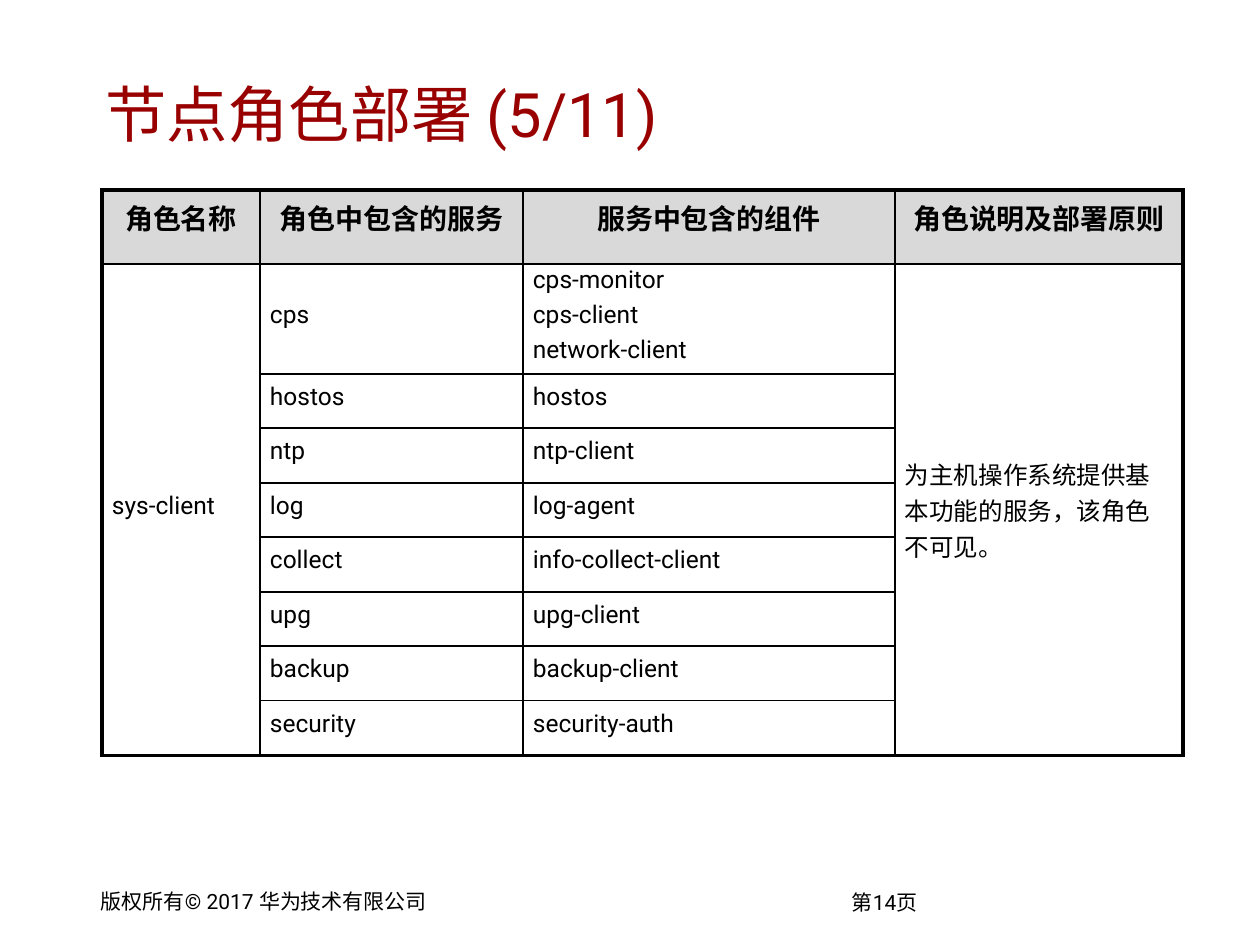
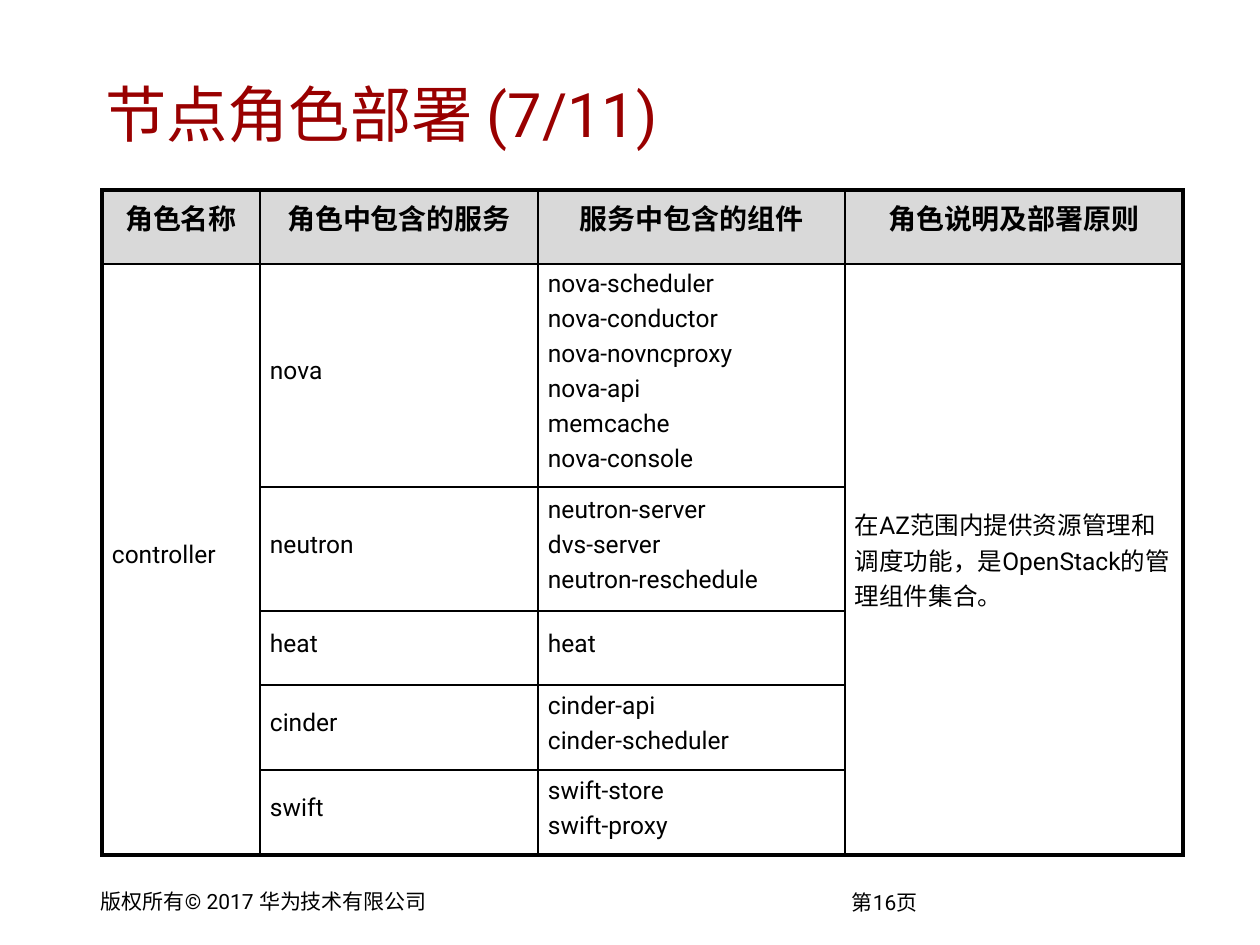
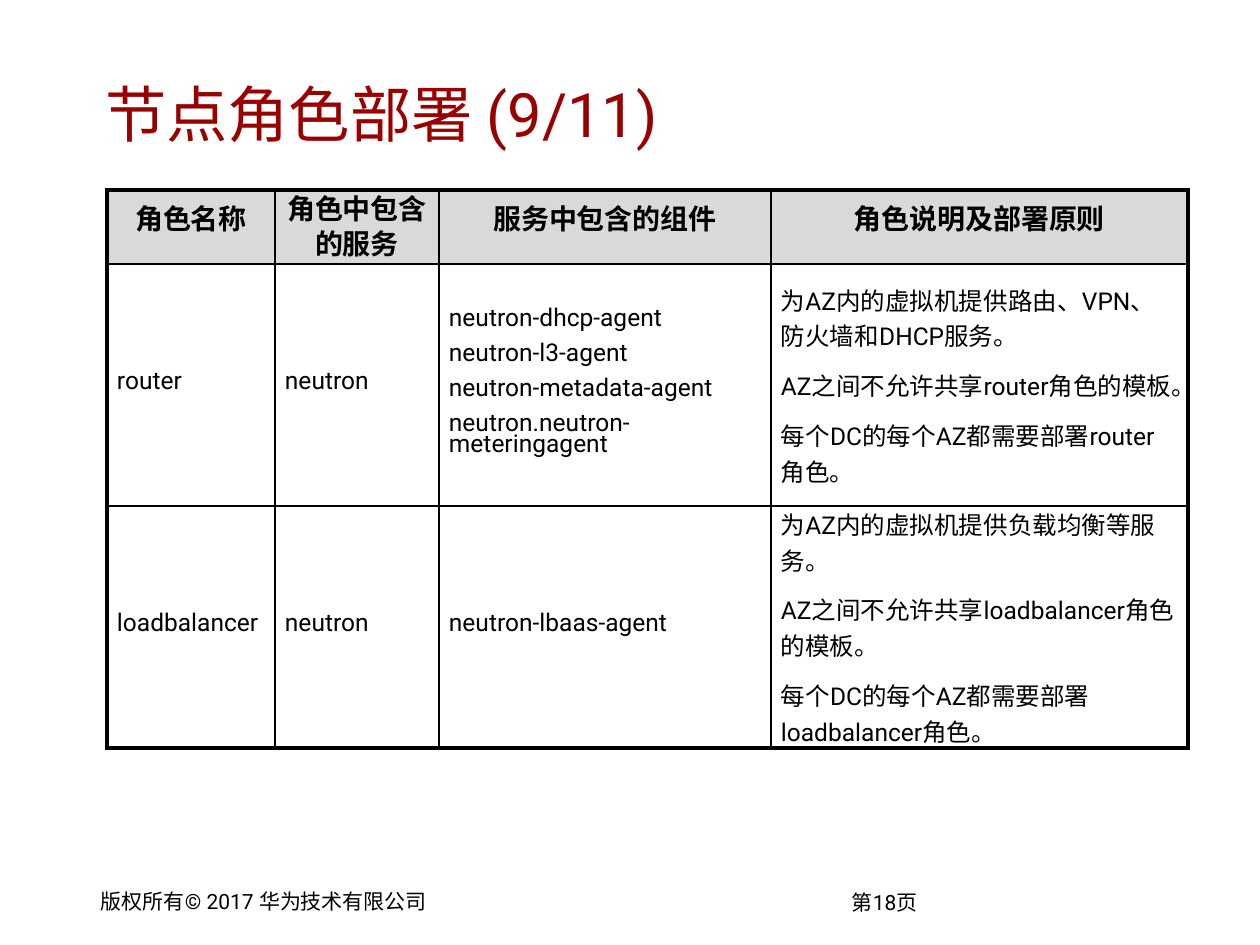
from lxml.etree import SubElement
from pptx import Presentation
from pptx.dml.color import RGBColor
from pptx.enum.text import MSO_ANCHOR, MSO_AUTO_SIZE, PP_ALIGN
from pptx.oxml.ns import qn
from pptx.util import Emu, Pt

FONT = "Roboto"
BLACK = RGBColor(0x00, 0x00, 0x00)
TITLE_RED = RGBColor(0x99, 0x00, 0x00)
HEADER_GREY = RGBColor(0xD9, 0xD9, 0xD9)
OUTER_LINE, INNER_LINE = Pt(2.25), Pt(1)
TABLE_TOP, HEADER_HEIGHT = 190, 74
HEADINGS = ["角色名称", "角色中包含的服务", "服务中包含的组件", "角色说明及部署原则"]
COPYRIGHT = "版权所有© 2017 华为技术有限公司"


def px(length):
    return Emu(round(length * 914400 / 126))


def set_font(paragraph, size, color=BLACK, bold=False):
    font = paragraph.font
    font.name, font.size, font.bold = FONT, Pt(size), bold
    font.color.rgb = color


def set_margins(frame):
    frame.margin_left = frame.margin_right = px(11)
    frame.margin_top = frame.margin_bottom = px(5)


def add_title(slide, text):
    title = slide.shapes.title
    title.left, title.top, title.width, title.height = map(px, (94, 53, 1091, 120))
    frame = title.text_frame
    frame.text = text
    frame.auto_size = MSO_AUTO_SIZE.NONE
    frame.vertical_anchor = MSO_ANCHOR.MIDDLE
    set_margins(frame)
    frame.paragraphs[0].alignment = PP_ALIGN.LEFT
    set_font(frame.paragraphs[0], 35, TITLE_RED)


def add_footer_text(slide, text, left, top, width):
    frame = slide.shapes.add_textbox(*map(px, (left, top, width, 37))).text_frame
    frame.word_wrap = True
    set_margins(frame)
    frame.text = text
    set_font(frame.paragraphs[0], 12)


def fill_cell(cell, texts, spacing=12, header=False):
    """Write one paragraph per text; spacing None keeps single line spacing."""
    frame = cell.text_frame
    frame.text = "\n".join(texts)
    for index, paragraph in enumerate(frame.paragraphs):
        paragraph.alignment = PP_ALIGN.CENTER if header else PP_ALIGN.LEFT
        if spacing:
            paragraph.line_spacing = Pt(spacing)
        paragraph.space_before = Pt(4 if index else 0)
        paragraph.space_after = Pt(4)
        set_font(paragraph, 16 if header else 14, bold=header)


def set_borders(cell, outer_sides):
    properties = cell._tc.get_or_add_tcPr()
    for position, side in enumerate("LRTB"):
        width = OUTER_LINE if side in outer_sides else INNER_LINE
        line = SubElement(properties, qn(f"a:ln{side}"), w=str(width))
        fill = SubElement(line, qn("a:solidFill"))
        SubElement(fill, qn("a:srgbClr"), val=str(BLACK))
        properties.insert(position, line)


def style_grid(table):
    last_row, last_column = len(table.rows) - 1, len(table.columns) - 1
    for row in range(last_row + 1):
        for column in range(last_column + 1):
            cell = table.cell(row, column)
            cell.vertical_anchor = MSO_ANCHOR.MIDDLE
            cell.margin_left = cell.margin_right = px(10)
            cell.margin_top = cell.margin_bottom = 0
            if row == 0:
                cell.fill.solid()
                cell.fill.fore_color.rgb = HEADER_GREY
            else:
                cell.fill.background()
            bottom_row = row + (cell.span_height if cell.is_merge_origin else 1) - 1
            at_edge = {"L": column == 0, "R": column == last_column,
                       "T": row == 0, "B": bottom_row == last_row}
            set_borders(cell, [side for side, outer in at_edge.items() if outer])


def add_role_table(slide, left, widths, heights, roles, service_heading_spacing=12):
    """Each role is (name, [(service, components), ...], notes)."""
    heights = [HEADER_HEIGHT] + heights
    table = slide.shapes.add_table(
        len(heights), len(widths), px(left), px(TABLE_TOP),
        px(sum(widths)), px(sum(heights))).table
    table.first_row = table.horz_banding = False
    for column, width in zip(table.columns, widths):
        column.width = px(width)
    for row, height in zip(table.rows, heights):
        row.height = px(height)

    for column, heading in enumerate(HEADINGS):
        spacing = service_heading_spacing if column == 1 else 12
        fill_cell(table.cell(0, column), [heading], spacing, header=True)

    first = 1
    for name, services, notes in roles:
        last = first + len(services) - 1
        if last > first:
            for column in (0, 3):
                table.cell(first, column).merge(table.cell(last, column))
        fill_cell(table.cell(first, 0), [name])
        fill_cell(table.cell(first, 3), notes, spacing=None)
        for row, (service, components) in enumerate(services, first):
            fill_cell(table.cell(row, 1), [service])
            fill_cell(table.cell(row, 2), components)
        first = last + 1
    style_grid(table)


def add_role_slide(deck, part, page, **role_table):
    slide = deck.slides.add_slide(deck.slide_layouts[5])
    add_footer_text(slide, f"第{page}页", 841, 885, 91)
    add_footer_text(slide, COPYRIGHT, 90, 884, 352)
    add_title(slide, f"节点角色部署 ({part}/11)")
    add_role_table(slide, **role_table)


def main():
    deck = Presentation()
    deck.slide_width, deck.slide_height = px(1260), px(945)

    # System client role
    add_role_slide(
        deck, 5, 14, left=102, widths=[158, 263, 372, 288],
        heights=[110] + [54, 55] * 3 + [55],
        roles=[("sys-client", [
            ("cps", ["cps-monitor", "cps-client", "network-client"]),
            ("hostos", ["hostos"]),
            ("ntp", ["ntp-client"]),
            ("log", ["log-agent"]),
            ("collect", ["info-collect-client"]),
            ("upg", ["upg-client"]),
            ("backup", ["backup-client"]),
            ("security", ["security-auth"]),
        ], ["为主机操作系统提供基本功能的服务，该角色不可见。"])])

    # Controller role
    add_role_slide(
        deck, 7, 16, left=102, widths=[158, 278, 307, 338],
        heights=[223, 124, 74, 85, 85],
        roles=[("controller", [
            ("nova", ["nova-scheduler", "nova-conductor", "nova-novncproxy",
                      "nova-api", "memcache", "nova-console"]),
            ("neutron", ["neutron-server", "dvs-server", "neutron-reschedule"]),
            ("heat", ["heat"]),
            ("cinder", ["cinder-api", "cinder-scheduler"]),
            ("swift", ["swift-store", "swift-proxy"]),
        ], ["在AZ范围内提供资源管理和调度功能，是OpenStack的管理组件集合。"])])

    # Network roles
    add_role_slide(
        deck, 9, 18, left=107, widths=[168, 164, 332, 417],
        heights=[242, 242], service_heading_spacing=20,
        roles=[
            ("router", [("neutron", [
                "neutron-dhcp-agent", "neutron-l3-agent",
                "neutron-metadata-agent", "neutron.neutron-meteringagent"])],
             ["为AZ内的虚拟机提供路由、VPN、防火墙和DHCP服务。",
              "AZ之间不允许共享router角色的模板。",
              "每个DC的每个AZ都需要部署router 角色。"]),
            ("loadbalancer", [("neutron", ["neutron-lbaas-agent"])],
             ["为AZ内的虚拟机提供负载均衡等服务。",
              "AZ之间不允许共享loadbalancer角色的模板。",
              "每个DC的每个AZ都需要部署loadbalancer角色。"]),
        ])

    deck.save("out.pptx")


if __name__ == "__main__":
    main()
